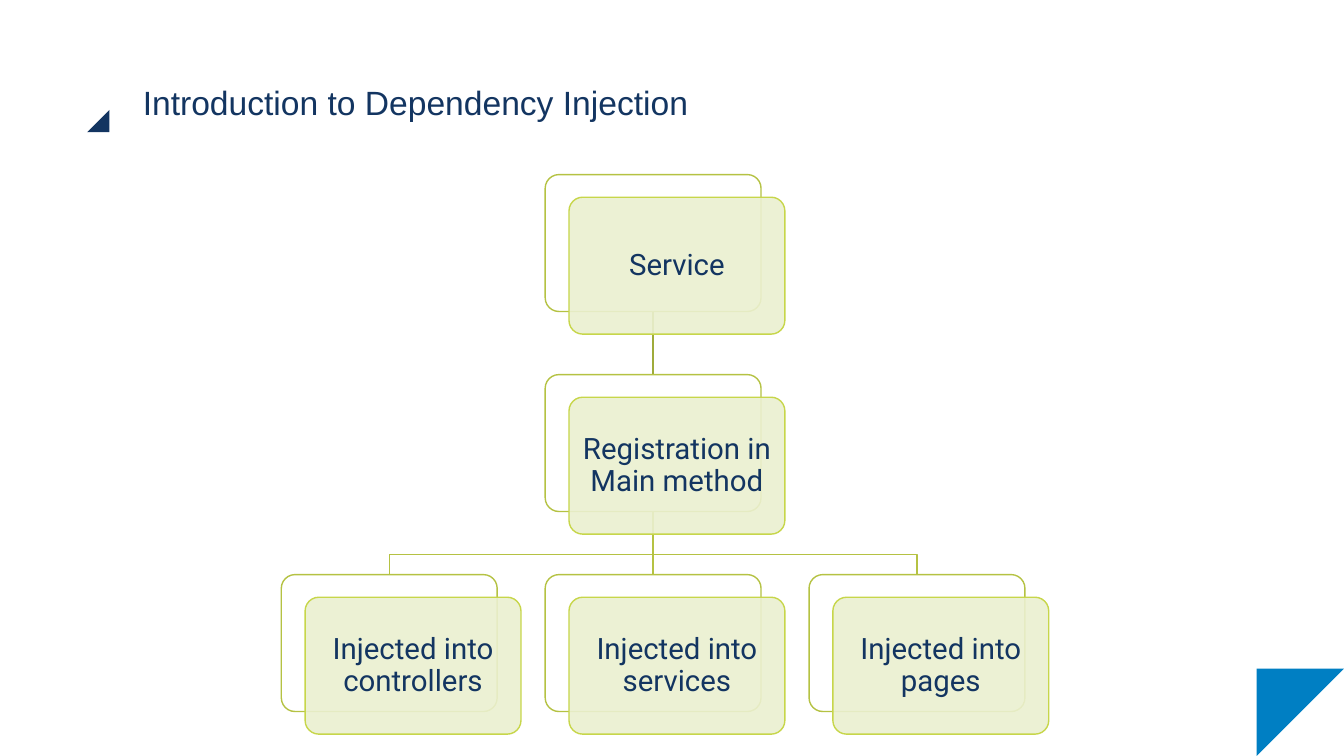
from lxml import etree
from pptx import Presentation
from pptx.dml.color import RGBColor
from pptx.enum import shapes, text
from pptx.oxml.ns import qn
from pptx.util import Cm, Pt

NAVY = RGBColor(0x13, 0x35, 0x61)
BLUE = RGBColor(0x00, 0x7F, 0xC3)
WHITE = RGBColor(0xFF, 0xFF, 0xFF)
PALE = RGBColor(0xEB, 0xF0, 0xD0)
OLIVE = RGBColor(0xB5, 0xC2, 0x43)
MOSS = RGBColor(0x9F, 0xAB, 0x3B)
LIME = RGBColor(0xC7, 0xD6, 0x4A)

# Lengths in cm
WIDE, HIGH = 5.44, 3.45        # one card
STEP_X, STEP_Y = 6.65, 5.04    # from card to card
OFF_X, OFF_Y = 0.6, 0.57       # front card against back card
BEND = 0.5                     # elbow above the child card


def shape(slide, kind, x, y, w, h, fill, line=None):
    item = slide.shapes.add_shape(kind, Cm(x), Cm(y), Cm(w), Cm(h))
    item.shadow.inherit = False
    item.fill.solid()
    item.fill.fore_color.rgb = fill
    if line is None:
        item.line.fill.background()
    else:
        item.line.color.rgb = line
        item.line.width = Pt(1)
    return item


def write(frame, words, font, size, space, align, inset=0):
    frame.word_wrap = True
    frame.margin_left = frame.margin_right = Cm(inset)
    frame.margin_top = frame.margin_bottom = Cm(inset)
    para = frame.paragraphs[0]
    para.text = words
    para.alignment = align
    para.line_spacing = space
    para.font.name = font
    para.font.size = Pt(size)
    para.font.color.rgb = NAVY


def header(slide, x, y, w, h):
    # Small corner mark, then the title
    mark = shape(slide, shapes.MSO_SHAPE.RIGHT_TRIANGLE,
                 x, y + 0.76, 0.56, 0.56, NAVY)
    mark._element.spPr.find(qn("a:xfrm")).set("flipH", "1")
    box = slide.shapes.add_textbox(Cm(x + 1.4), Cm(y), Cm(w - 1.4), Cm(h))
    write(box.text_frame, "Introduction to Dependency Injection",
          "Arial", 24, 1.05, text.PP_ALIGN.LEFT)


def corner(slide, x, y, side):
    mark = shape(slide, shapes.MSO_SHAPE.RIGHT_TRIANGLE,
                 x, y, side, side, BLUE)
    mark.rotation = 90


def card(slide, x, y, words):
    kind = shapes.MSO_SHAPE.ROUNDED_RECTANGLE
    back = shape(slide, kind, x, y, WIDE, HIGH, WHITE, OLIVE)
    front = shape(slide, kind, x + OFF_X, y + OFF_Y, WIDE, HIGH, PALE, LIME)
    for item in (back, front):
        item.adjustments[0] = 0.1
    tint = front._element.spPr.find(qn("a:solidFill"))[0]
    etree.SubElement(tint, qn("a:alpha")).set("val", "90000")
    front.text_frame.vertical_anchor = text.MSO_ANCHOR.MIDDLE
    write(front.text_frame, words, "Roboto", 21, 0.9,
          text.PP_ALIGN.CENTER, 0.23)


def stem(slide, x, top, end, color):
    line = slide.shapes.add_connector(
        shapes.MSO_CONNECTOR.STRAIGHT, Cm(x), Cm(top), Cm(x), Cm(end))
    line.line.color.rgb = color
    line.line.width = Pt(1)
    etree.SubElement(line._element.spPr, qn("a:effectLst"))


def elbow(slide, x, top, goal, end):
    turn = end - BEND
    path = slide.shapes.build_freeform(Cm(x), Cm(top))
    path.add_line_segments(
        [(Cm(a), Cm(b)) for a, b in ((x, turn), (goal, turn), (goal, end))],
        close=False)
    line = path.convert_to_shape()
    line.shadow.inherit = False
    line.fill.background()
    line.line.color.rgb = OLIVE
    line.line.width = Pt(1)


def tree(slide, x, y):
    # Three rows; the single cards stand over the middle column
    cols = [x + i * STEP_X for i in range(3)]
    rows = [y + i * STEP_Y for i in range(3)]
    mid = cols[1] + WIDE / 2

    # Links lie behind the cards
    for side in (cols[2], cols[0]):
        elbow(slide, mid, rows[1] + HIGH, side + WIDE / 2, rows[2])
    for row, color in ((1, OLIVE), (0, MOSS)):
        stem(slide, mid, rows[row] + HIGH, rows[row + 1], color)

    # Cards
    card(slide, cols[1], rows[0], "Service")
    card(slide, cols[1], rows[1], "Registration in Main method")
    for left, goal in zip(cols, ("controllers", "services", "pages")):
        card(slide, left, rows[2], f"Injected into {goal}")


def main():
    deck = Presentation()
    deck.slide_width, deck.slide_height = Cm(33.87), Cm(19.05)
    slide = deck.slides.add_slide(deck.slide_layouts[6])
    corner(slide, 31.67, 16.85, 2.2)
    header(slide, 2.2, 2.01, 28.81, 3.61)
    tree(slide, 7.09, 4.4)
    deck.save("out.pptx")


if __name__ == "__main__":
    main()
